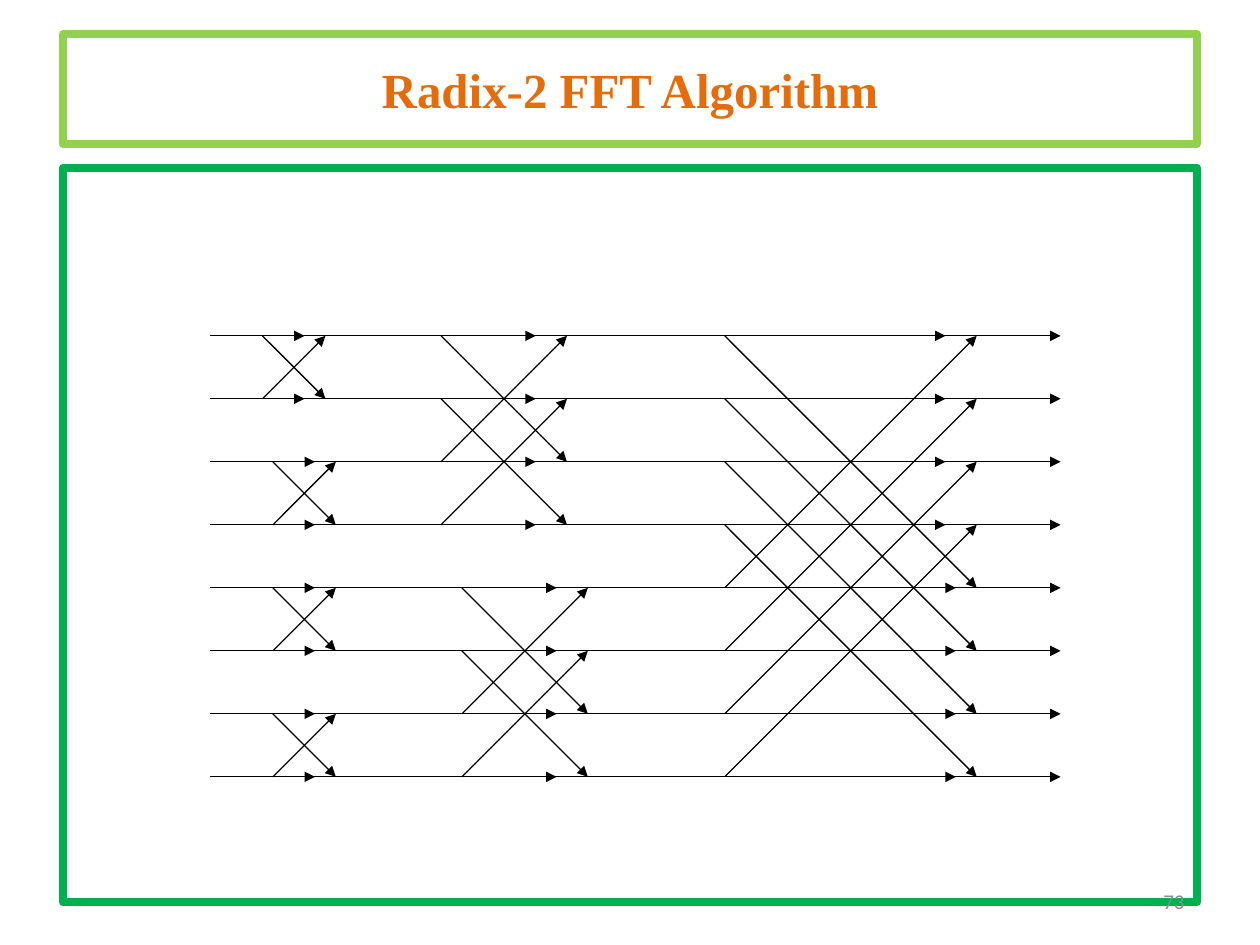
from lxml import etree
from pptx import Presentation
from pptx import util as u
from pptx.dml.color import RGBColor
from pptx.enum import shapes, text
from pptx.oxml.ns import qn

TOP, PITCH, ROWS = 6.77, 1.27, 8


def paint(form, color):
    form.rgb = RGBColor.from_string(color)


def arrow(x1, row1, x2, row2):
    """Draw an arrow between two points; heights are given as wire numbers."""
    line = slide.shapes.add_connector(
        shapes.MSO_CONNECTOR.STRAIGHT,
        u.Cm(x1), u.Cm(TOP + row1 * PITCH), u.Cm(x2), u.Cm(TOP + row2 * PITCH))
    paint(line.line.color, "000000")
    line.line.width = u.Pt(0.75)
    etree.SubElement(line.line._get_or_add_ln(), qn("a:tailEnd"), type="triangle")
    etree.SubElement(line._element.spPr, qn("a:effectLst"))


deck = Presentation()
deck.slide_width, deck.slide_height = u.Cm(25.4), u.Cm(19.05)
slide = deck.slides.add_slide(deck.slide_layouts[6])

# Title frame and body frame
frames = []
for y, high, color in ((0.69, 2.21, "92D050"), (3.38, 14.81, "00B050")):
    frame = slide.shapes.add_shape(
        shapes.MSO_SHAPE.RECTANGLE, u.Cm(1.27), u.Cm(y), u.Cm(22.86), u.Cm(high))
    frame.shadow.inherit = False
    frame.fill.background()
    paint(frame.line.color, color)
    frame.line.width = u.Pt(4.5)
    frames.append(frame)

title = frames[0].text_frame
title.text = "Radix-2 FFT Algorithm"
title.vertical_anchor = text.MSO_ANCHOR.MIDDLE
para = title.paragraphs[0]
para.alignment = text.PP_ALIGN.CENTER
font = para.runs[0].font
font.name, font.size, font.bold = "Times New Roman", u.Pt(28), True
paint(font.color, "E46C0A")

# Signal wires
for row in range(ROWS):
    arrow(4.23, row, 21.38, row)

# Butterflies: wires spanned, left edge of each block,
# length of the straight arrows, shift of those in the upper half
stages = (
    (1, (5.29, 5.5, 5.5, 5.5), 0.85, 0),
    (2, (8.89, 9.31), 1.91, 0),
    (4, (14.61,), 4.66, -0.21),
)
for span, lefts, length, shift in stages:
    for block, left in enumerate(lefts):
        right = left + span * PITCH
        for step in range(span):
            upper = 2 * span * block + step
            lower = upper + span
            arrow(left, upper, right, lower)
            arrow(left, lower, right, upper)
            arrow(left + shift, upper, left + shift + length, upper)
            arrow(left, lower, left + length, lower)

# Slide number
box = slide.shapes.add_textbox(u.Cm(18.2), u.Cm(17.66), u.Cm(5.93), u.Cm(1.01))
page = box.text_frame
page.word_wrap = True
page.text = "73"
page.vertical_anchor = text.MSO_ANCHOR.MIDDLE
para = page.paragraphs[0]
para.alignment = text.PP_ALIGN.RIGHT
font = para.runs[0].font
font.name, font.size = "Calibri", u.Pt(12)
paint(font.color, "8B8B8B")

deck.save("out.pptx")
